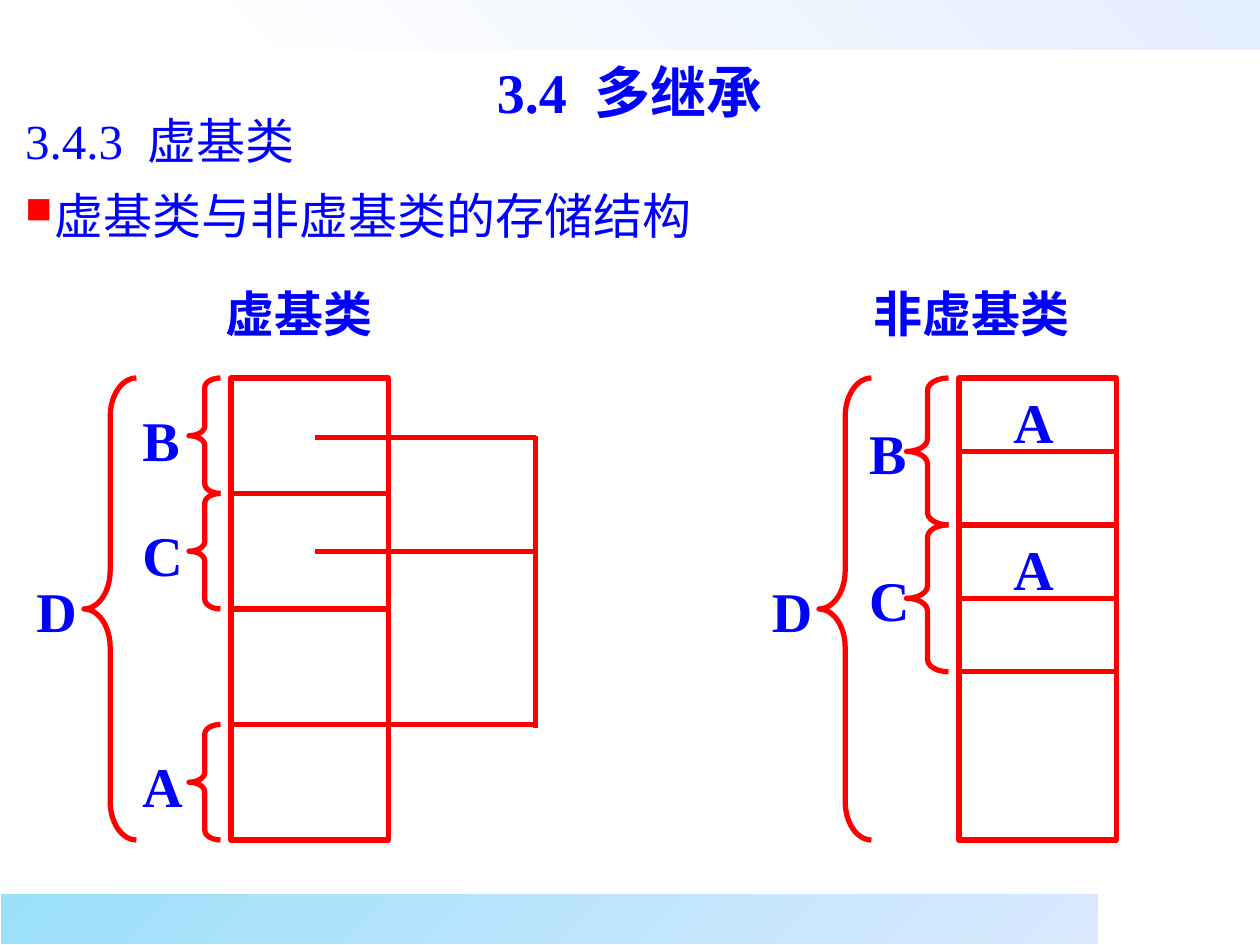
"""Build a slide comparing the storage layout of virtual and non-virtual base classes."""
from lxml import etree
from pptx import Presentation
from pptx.dml.color import RGBColor
from pptx.enum.shapes import MSO_CONNECTOR, MSO_SHAPE
from pptx.enum.text import MSO_ANCHOR, PP_ALIGN
from pptx.oxml.ns import qn
from pptx.util import Pt

RECTANGLE, LEFT_BRACE = MSO_SHAPE.RECTANGLE, MSO_SHAPE.LEFT_BRACE
STRAIGHT = MSO_CONNECTOR.STRAIGHT
TOP, MIDDLE = MSO_ANCHOR.TOP, MSO_ANCHOR.MIDDLE
LEFT, CENTER = PP_ALIGN.LEFT, PP_ALIGN.CENTER

BLUE = RGBColor(0x00, 0x00, 0xFF)
RED = RGBColor(0xFF, 0x00, 0x00)
WHITE = RGBColor(0xFF, 0xFF, 0xFF)
PALE_BLUE = RGBColor(0xE3, 0xEE, 0xFF)
SKY = RGBColor(0x9B, 0xE0, 0xF9)
LAVENDER = RGBColor(0xDA, 0xE9, 0xFF)
SERIF, SANS = "Times New Roman", "Noto Sans CJK SC"

BANDS = [
    ((111, 0, 609, 28.4), WHITE, PALE_BLUE, 45),
    ((0.7, 511, 626.5, 28.4), SKY, LAVENDER, 315),
]
TITLE = "3.4 多继承"
SECTION = "3.4.3 虚基类"
TOPIC = "虚基类与非虚基类的存储结构"
HEADINGS = [("虚基类", (18, 155.5, 306, 40.3)), ("非虚基类", (426, 155.5, 258, 40.3))]

BLOCK_TOP, BLOCK_WIDTH, BLOCK_HEIGHT = 216, 90, 264
LABEL_WIDTH, LABEL_HEIGHT = 42, 53.3
LAYOUTS = [
    {
        "block_left": 132, "cells": 4, "dividers": [1, 2, 3],
        "brace_left": 108, "brace_width": 18, "label_left": 74.3, "label_rise": 28.5,
        "parts": [("B", 0, 1), ("C", 1, 2), ("A", 3, 4)],
        "whole_left": 48, "whole_label_left": 13.7, "cell_labels": [],
    },
    {
        "block_left": 548, "cells": 6.29, "dividers": [1, 2, 3, 4],
        "brace_left": 518, "brace_width": 24, "label_left": 489.6, "label_rise": 29.8,
        "parts": [("B", 0, 2), ("C", 2, 4)],
        "whole_left": 468, "whole_label_left": 434, "cell_labels": [("A", 0.5), ("A", 2.5)],
    },
]
POINTER_LINES = [
    (180, 249.8, 306, 249.8),
    (180, 315, 306, 315),
    (306, 249, 306, 416),
    (222, 414, 306, 414),
]


def add_band(slide, box, start, end, angle):
    shape = slide.shapes.add_shape(RECTANGLE, *map(Pt, box))
    shape.shadow.inherit = False
    shape.line.fill.background()
    shape.fill.gradient()
    shape.fill.gradient_angle = angle
    for stop, color in zip(shape.fill.gradient_stops, (start, end)):
        stop.color.rgb = color


def add_outline(slide, kind, box):
    shape = slide.shapes.add_shape(kind, *map(Pt, box))
    shape.shadow.inherit = False
    shape.fill.background()
    shape.line.color.rgb = RED
    shape.line.width = Pt(3)
    return shape


def add_brace(slide, left, top, width, height):
    brace = add_outline(slide, LEFT_BRACE, (left, top, width, height))
    brace.adjustments[0] = height / 12 / width


def add_line(slide, *ends):
    line = slide.shapes.add_connector(STRAIGHT, *map(Pt, ends))
    line.line.color.rgb = RED
    line.line.width = Pt(3)
    etree.SubElement(line._element.spPr, qn("a:effectLst"))


def add_text_box(slide, box, margins=(0, 0), anchor=TOP):
    frame = slide.shapes.add_textbox(*map(Pt, box)).text_frame
    frame.word_wrap = True
    frame.vertical_anchor = anchor
    frame.margin_left = frame.margin_right = Pt(margins[0])
    frame.margin_top = frame.margin_bottom = Pt(margins[1])
    return frame


def write(paragraph, text, size, font=SERIF, bold=False, align=LEFT, spacing=None):
    paragraph.alignment = align
    paragraph.line_spacing = spacing
    for part in filter(None, text.partition(" ")):
        run = paragraph.add_run()
        run.text = part
        run.font.size = Pt(size)
        run.font.name = font
        run.font.bold = bold
        run.font.color.rgb = BLUE
        properties = run._r.get_or_add_rPr()
        if part == " ":
            properties.set("spc", str(size * 25))
        if font == SANS:
            etree.SubElement(properties, qn("a:ea"), typeface=font)


def add_bullet(paragraph):
    properties = paragraph._p.get_or_add_pPr()
    properties.set("marL", str(Pt(17)))
    properties.set("indent", str(-Pt(17)))
    color = etree.SubElement(properties, qn("a:buClr"))
    etree.SubElement(color, qn("a:srgbClr"), val=str(RED))
    etree.SubElement(properties, qn("a:buSzPct"), val="75000")
    etree.SubElement(properties, qn("a:buChar"), char="■")


def add_label(slide, text, left, top):
    frame = add_text_box(slide, (left, top, LABEL_WIDTH, LABEL_HEIGHT), (7.2, 3.6))
    write(frame.paragraphs[0], text, 32, bold=True, spacing=1.2)


def add_layout(slide, layout):
    left, step = layout["block_left"], BLOCK_HEIGHT / layout["cells"]
    add_outline(slide, RECTANGLE, (left, BLOCK_TOP, BLOCK_WIDTH, BLOCK_HEIGHT))
    for row in layout["dividers"]:
        y = BLOCK_TOP + row * step
        add_line(slide, left, y, left + BLOCK_WIDTH, y)
    for name, first, last in layout["parts"]:
        top, height = BLOCK_TOP + first * step, (last - first) * step
        add_brace(slide, layout["brace_left"], top, layout["brace_width"], height)
        add_label(slide, name, layout["label_left"], top + height / 2 - layout["label_rise"])
    add_brace(slide, layout["whole_left"], BLOCK_TOP, 30, BLOCK_HEIGHT)
    add_label(slide, "D", layout["whole_label_left"], BLOCK_TOP + BLOCK_HEIGHT / 2 - 29.8)
    for name, row in layout["cell_labels"]:
        add_label(slide, name, left + 24, BLOCK_TOP + row * step - 26.7)


def main():
    presentation = Presentation()
    presentation.slide_width, presentation.slide_height = Pt(720), Pt(540)
    slide = presentation.slides.add_slide(presentation.slide_layouts[6])
    for band in BANDS:
        add_band(slide, *band)

    frame = add_text_box(slide, (14.4, 54.7, 692, 85))
    write(frame.paragraphs[0], SECTION, 28, spacing=1.25)
    frame.paragraphs[0].space_after = Pt(2)
    topic = frame.add_paragraph()
    topic.space_before = Pt(7)
    add_bullet(topic)
    write(topic, TOPIC, 28)

    for text, box in HEADINGS:
        frame = add_text_box(slide, box, anchor=MIDDLE)
        write(frame.paragraphs[0], text, 28, SANS, True, CENTER, 1.2)
    for layout in LAYOUTS:
        add_layout(slide, layout)
    for ends in POINTER_LINES:
        add_line(slide, *ends)

    frame = add_text_box(slide, (0, 28.8, 720, 46), (7.2, 3.6), MIDDLE)
    write(frame.paragraphs[0], TITLE, 32, bold=True, align=CENTER)
    presentation.save("out.pptx")


if __name__ == "__main__":
    main()
